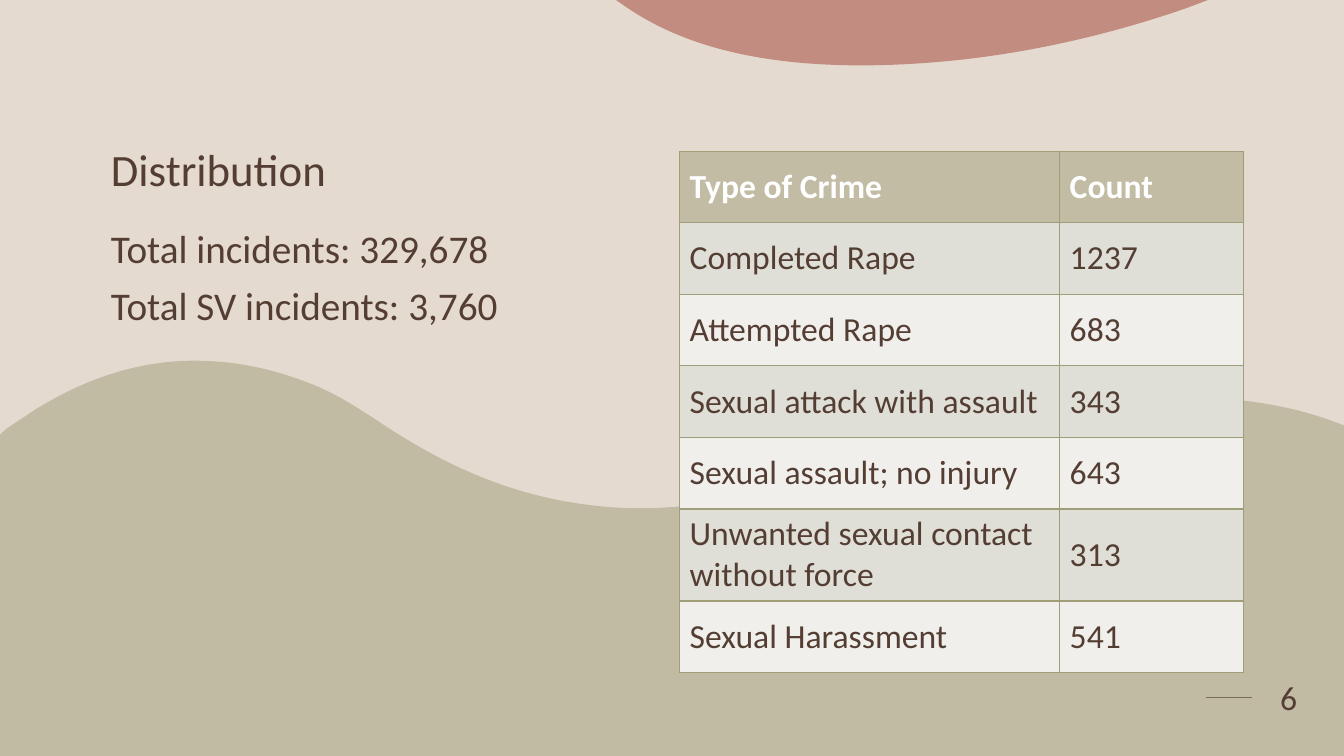
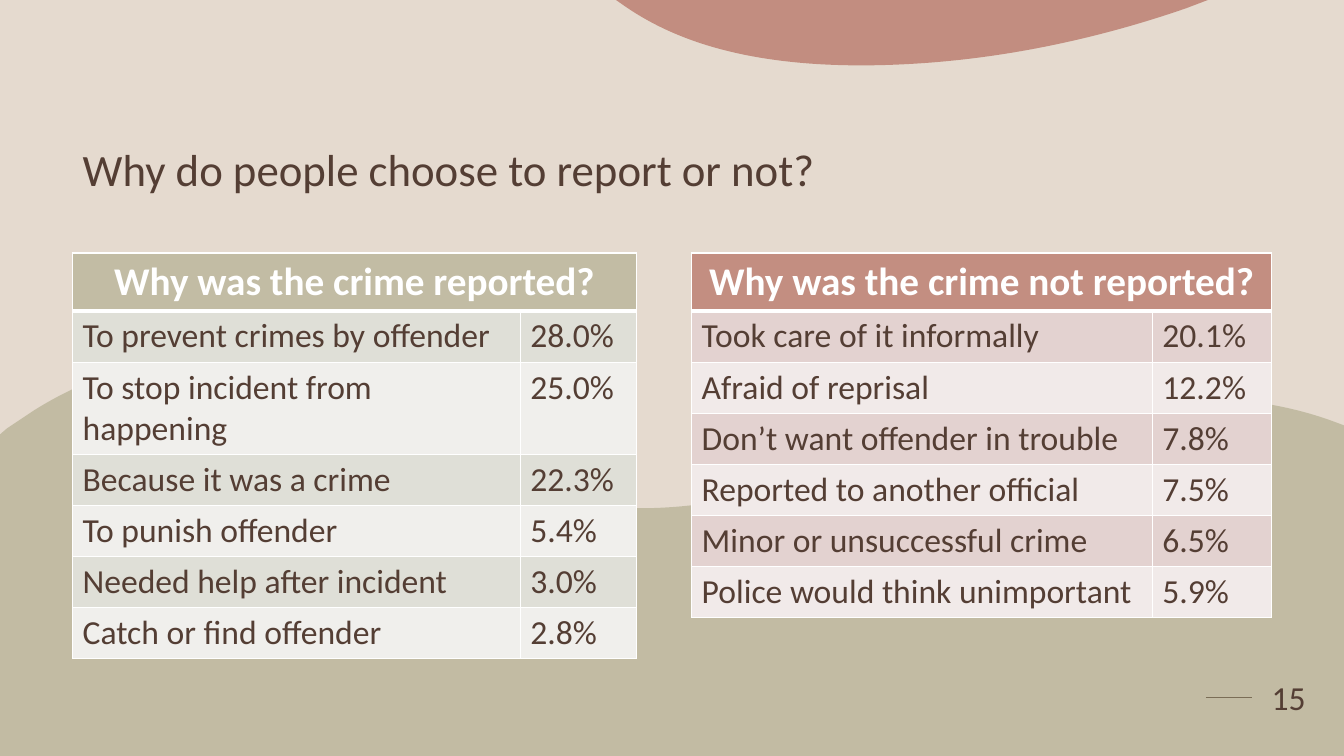
from lxml import etree
from pptx import Presentation
from pptx.dml.color import RGBColor
from pptx.enum.shapes import MSO_CONNECTOR
from pptx.enum.text import MSO_ANCHOR, MSO_AUTO_SIZE, PP_ALIGN
from pptx.oxml.ns import qn
from pptx.util import Inches, Pt

STRAIGHT = MSO_CONNECTOR.STRAIGHT
LEFT, CENTER = PP_ALIGN.LEFT, PP_ALIGN.CENTER
TOP, MIDDLE, BOTTOM = MSO_ANCHOR.TOP, MSO_ANCHOR.MIDDLE, MSO_ANCHOR.BOTTOM
NO_FIT = MSO_AUTO_SIZE.NONE

WIDTH, HEIGHT = 13.33, 7.5
FONT = "Calibri"
COLORS = {
    "sand": "E5DACF", "brown": "543E34", "olive": "A09D79", "clay": "AC5B4C", "white": "FFFFFF",
    "olive_head": "C2BCA4", "olive_dark": "DFDFD7", "olive_light": "F0EFEC",
    "clay_head": "C38E81", "clay_dark": "E3D2D0", "clay_light": "F1EAE9",
}

HILL = [
    (2.02, 3.58),
    (2.36, 3.59, 2.7, 3.66, 3.04, 3.79),
    (3.34, 3.9, 3.6, 4.08, 3.86, 4.25),
    (4.43, 4.62, 5.05, 4.9, 5.77, 5),
    (6.37, 5.09, 6.98, 5.03, 7.59, 4.88),
    (8.27, 4.72, 8.67, 4.57, 9.08, 4.43),
    (9.48, 4.29, 11.61, 3.57, 13.25, 4.19),
    (WIDTH, 4.22), (WIDTH, HEIGHT), (0, HEIGHT), (0, 4.31), (0.07, 4.25),
    (0.16, 4.19, 0.25, 4.13, 0.34, 4.07),
    (0.9, 3.72, 1.46, 3.56, 2.02, 3.58),
]
CANOPY = [
    (6.11, 0), (11.98, 0), (11.77, 0.08),
    (10.56, 0.5, 9.61, 0.59, 9.24, 0.62),
    (7.56, 0.75, 6.71, 0.41, 6.21, 0.07),
]
WAVES = [(HILL, "olive", 50), (CANOPY, "clay", 60)]

SLIDES = [
    {
        "title": "Distribution", "number": "6", "title_box": (1, 1, 11.33, 1),
        "body": ["Total incidents: 329,678", "Total SV incidents: 3,760"],
        "tables": [{
            "at": (6.74, 1.5), "columns": (3.77, 1.82), "row": 0.71, "tone": "olive",
            "border": "olive", "rule": 1, "anchor": MIDDLE, "head_size": 24,
            "head": ["Type of Crime", "Count"],
            "rows": [
                ("Completed Rape", "1237"),
                ("Attempted Rape", "683"),
                ("Sexual attack with assault", "343"),
                ("Sexual assault; no injury", "643"),
                ("Unwanted sexual contact without force", "313"),
                ("Sexual Harassment", "541"),
            ],
        }],
    },
    {
        "title": "Why do people choose to report or not?", "number": "15",
        "title_box": (0.72, 1, 11.89, 1), "body": [],
        "tables": [
            {
                "at": (6.86, 2.51), "columns": (4.57, 1.18), "row": 0.41, "tone": "clay",
                "border": "white", "rule": 3, "anchor": TOP, "head_size": 28,
                "head": ["Why was the crime not reported?"],
                "rows": [
                    ("Took care of it informally", "20.1%"),
                    ("Afraid of reprisal", "12.2%"),
                    ("Don’t want offender in trouble", "7.8%"),
                    ("Reported to another official", "7.5%"),
                    ("Minor or unsuccessful crime", "6.5%"),
                    ("Police would think unimportant", "5.9%"),
                ],
            },
            {
                "at": (0.72, 2.51), "columns": (4.44, 1.15), "row": 0.41, "tone": "olive",
                "border": "white", "rule": 3, "anchor": TOP, "head_size": 28,
                "head": ["Why was the crime reported?"],
                "rows": [
                    ("To prevent crimes by offender", "28.0%"),
                    ("To stop incident from happening", "25.0%"),
                    ("Because it was a crime", "22.3%"),
                    ("To punish offender", "5.4%"),
                    ("Needed help after incident", "3.0%"),
                    ("Catch or find offender", "2.8%"),
                ],
            },
        ],
    },
]


def rgb(name):
    return RGBColor.from_string(COLORS[name])


def place(shape, box):
    shape.left, shape.top, shape.width, shape.height = [Inches(side) for side in box]


def write(para, text, size, color="brown", bold=False, align=LEFT):
    para.alignment = align
    span = para.add_run()
    span.text = text
    font = span.font
    font.name, font.size, font.bold = FONT, Pt(size), bold
    font.color.rgb = rgb(color)


def bend(wave, segments):
    lines = list(wave.element.iter(qn("a:lnTo")))
    for line, segment in zip(lines, segments[1:]):
        if len(segment) == 2:
            continue
        curve = etree.Element(qn("a:cubicBezTo"))
        for x, y in zip(segment[::2], segment[1::2]):
            etree.SubElement(curve, qn("a:pt"), x=str(Inches(x) - wave.left),
                             y=str(Inches(y) - wave.top))
        line.getparent().replace(line, curve)


def add_wave(page, segments, color, opacity):
    points = [(Inches(segment[-2]), Inches(segment[-1])) for segment in segments]
    builder = page.shapes.build_freeform(*points[0])
    builder.add_line_segments(points[1:], close=True)
    wave = builder.convert_to_shape()
    bend(wave, segments)
    wave.shadow.inherit = False
    wave.line.fill.background()
    wave.fill.solid()
    wave.fill.fore_color.rgb = rgb(color)
    tint = wave.element.spPr.find(qn("a:solidFill")).find(qn("a:srgbClr"))
    etree.SubElement(tint, qn("a:alpha")).set("val", str(opacity * 1000))
    return wave


def add_number_rule(page):
    ends = [Inches(side) for side in (11.96, 6.92, 12.42, 6.92)]
    rule = page.shapes.add_connector(STRAIGHT, *ends)
    rule.line.color.rgb = rgb("brown")
    rule.line.width = Pt(1.25)
    etree.SubElement(rule.element.spPr, qn("a:effectLst"))
    return rule


def decorate_master(master, page):
    master.background.fill.solid()
    master.background.fill.fore_color.rgb = rgb("sand")
    decor = [add_number_rule(page)] + [add_wave(page, *wave) for wave in WAVES]
    for index, shape in enumerate(decor):
        shape.element.xpath(".//p:cNvPr")[0].set("id", str(100 + index))
        master.shapes.element.append(shape.element)


def add_title(page, text, box):
    title = page.shapes.title
    place(title, box)
    frame = title.text_frame
    frame.vertical_anchor, frame.auto_size = BOTTOM, NO_FIT
    frame.paragraphs[0].line_spacing = 0.9
    write(frame.paragraphs[0], text, 32)


def add_body(page, lines):
    body = page.placeholders[1]
    place(body, (1, 2.23, 4.4, 4.27))
    frame = body.text_frame
    frame.auto_size = NO_FIT
    for index, line in enumerate(lines):
        para = frame.add_paragraph() if index else frame.paragraphs[0]
        para.line_spacing, para.space_before = 0.9, Pt(10)
        write(para, line, 28)
        properties = para._p.get_or_add_pPr()
        properties.set("marL", "0")
        properties.set("indent", "0")
        etree.SubElement(properties, qn("a:buNone"))


def add_number(page, number):
    box = page.shapes.add_textbox(*[Inches(side) for side in (12.42, 6.43, 0.72, 0.98)])
    frame = box.text_frame
    frame.word_wrap, frame.vertical_anchor = True, MIDDLE
    write(frame.paragraphs[0], number, 24, align=CENTER)


def set_borders(cell, color, widths):
    properties = cell._tc.get_or_add_tcPr()
    for side, width in widths.items():
        edge = etree.SubElement(properties, qn(f"a:ln{side}"), w=str(Pt(width)))
        fill = etree.SubElement(edge, qn("a:solidFill"))
        etree.SubElement(fill, qn("a:srgbClr"), val=COLORS[color])


def add_table(page, data):
    columns, tone = data["columns"], data["tone"]
    rows = [data["head"]] + data["rows"]
    size = (sum(columns), data["row"] * len(rows))
    box = [Inches(side) for side in data["at"] + size]
    table = page.shapes.add_table(len(rows), len(columns), *box).table
    table.horz_banding = False
    for column, width in zip(table.columns, columns):
        column.width = Inches(width)
    spanning = len(data["head"]) == 1
    if spanning:
        table.cell(0, 0).merge(table.cell(0, len(columns) - 1))
    for row_index, texts in enumerate(rows):
        is_head = row_index == 0
        table.rows[row_index].height = Inches(data["row"])
        shade = "head" if is_head else ("light", "dark")[row_index % 2]
        widths = {"L": 1, "R": 1, "T": 1, "B": data["rule"] if is_head else 1}
        for column_index in range(len(columns)):
            cell = table.cell(row_index, column_index)
            cell.vertical_anchor = data["anchor"]
            set_borders(cell, data["border"], widths)
            cell.fill.solid()
            cell.fill.fore_color.rgb = rgb(f"{tone}_{shade}")
            if column_index < len(texts):
                write(cell.text_frame.paragraphs[0], texts[column_index],
                      data["head_size"] if is_head else 24,
                      "white" if is_head else "brown", is_head,
                      CENTER if is_head and spanning else LEFT)


def main():
    deck = Presentation()
    deck.slide_width, deck.slide_height = Inches(WIDTH), Inches(HEIGHT)
    title_and_body, title_only = deck.slide_layouts[1], deck.slide_layouts[5]
    for index, content in enumerate(SLIDES):
        page = deck.slides.add_slide(title_and_body if content["body"] else title_only)
        if index == 0:
            decorate_master(deck.slide_master, page)
        add_title(page, content["title"], content["title_box"])
        if content["body"]:
            add_body(page, content["body"])
        for data in content["tables"]:
            add_table(page, data)
        add_number(page, content["number"])
    deck.save("out.pptx")


if __name__ == "__main__":
    main()
